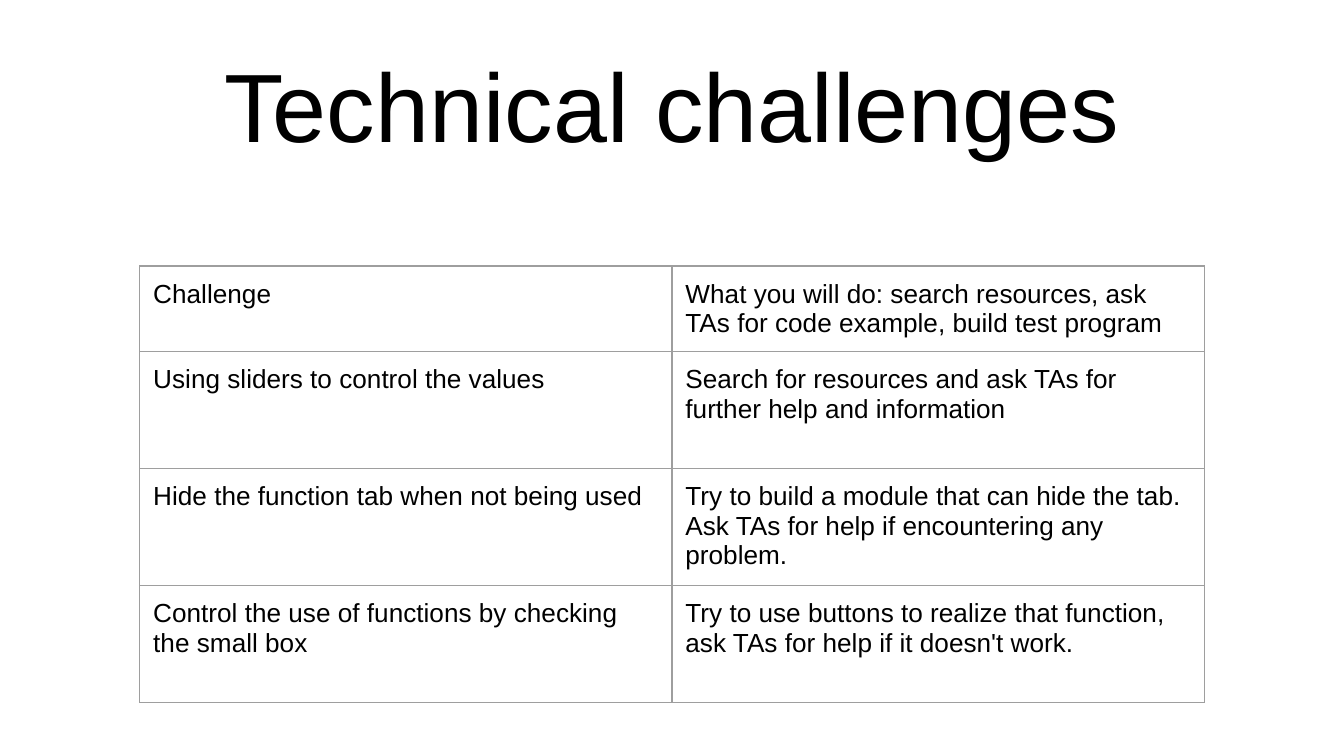
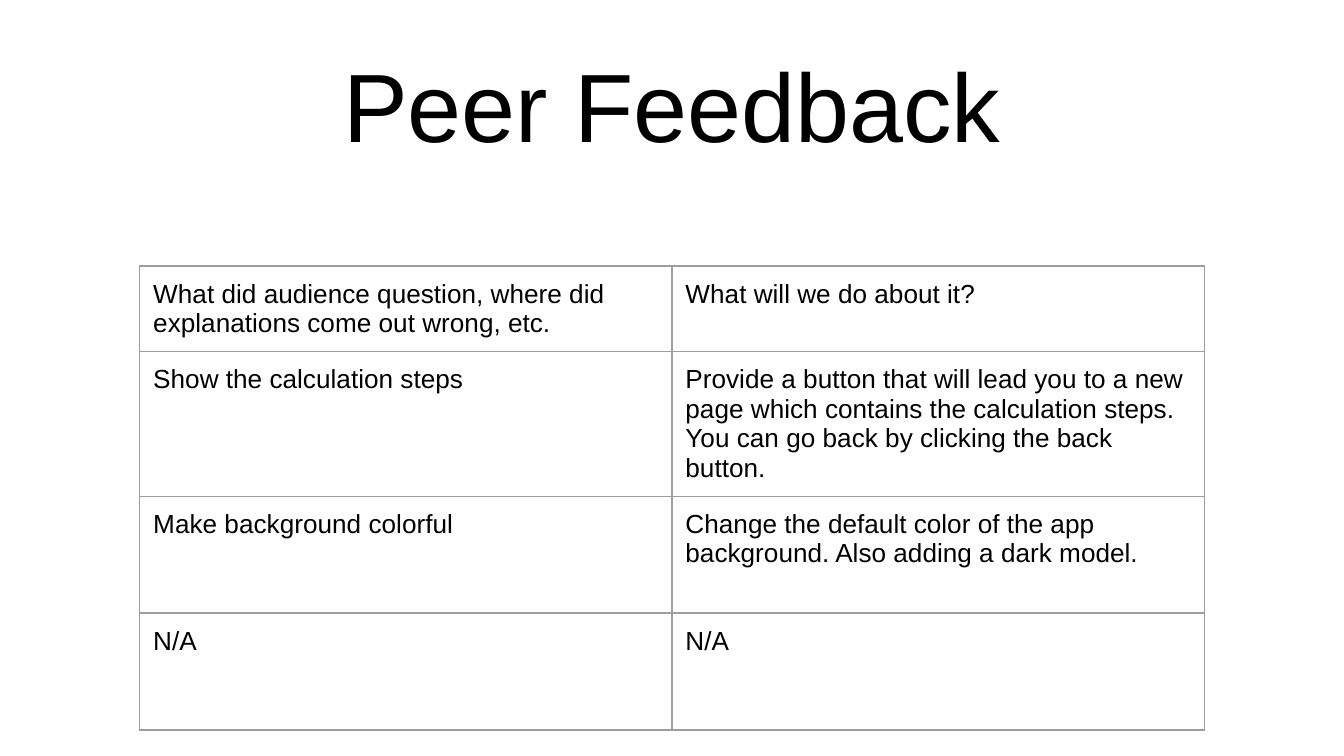
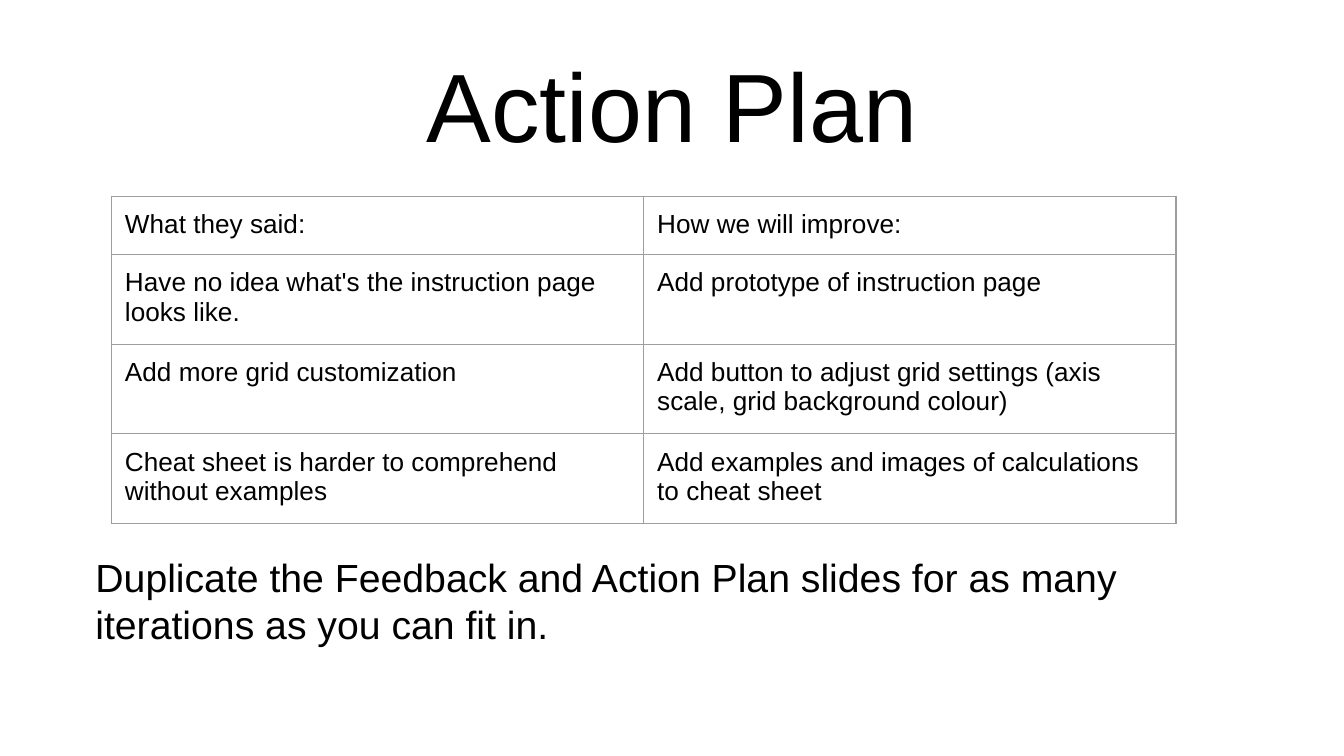
from pptx import Presentation
from pptx.dml.color import RGBColor
from pptx.enum.text import MSO_ANCHOR as Anchor, PP_ALIGN as Align
from pptx.oxml import parse_xml
from pptx.oxml.ns import nsdecls
from pptx.util import Inches, Pt

COLORS = {"text": "000000", "border": "9E9E9E"}
FONT = "Arial"
TITLE_BOX = (0.73, 0.15, 8.54, 1.25)
BORDER_WIDTH = Pt(0.75)

CHALLENGES = [
    ("Challenge",
     "What you will do: search resources, ask TAs for code example, build test program"),
    ("Using sliders to control the values",
     "Search for resources and ask TAs for further help and information"),
    ("Hide the function tab when not being used",
     "Try to build a module that can hide the tab. Ask TAs for help if encountering any problem."),
    ("Control the use of functions by checking the small box",
     "Try to use buttons to realize that function, ask TAs for help if it doesn't work."),
]
FEEDBACK = [
    ("What did audience question, where did explanations come out wrong, etc.",
     "What will we do about it?"),
    ("Show the calculation steps",
     "Provide a button that will lead you to a new page which contains the calculation steps. "
     "You can go back by clicking the back button."),
    ("Make background colorful",
     "Change the default color of the app background. Also adding a dark model."),
    ("N/A", "N/A"),
]
ACTIONS = [
    ("What they said:", "How we will improve:"),
    ("Have no idea what's the instruction page looks like.",
     "Add prototype of instruction page"),
    ("Add more grid customization",
     "Add button to adjust grid settings (axis scale, grid background colour)"),
    ("Cheat sheet is harder to comprehend without examples",
     "Add examples and images of calculations to cheat sheet"),
]


def write(holder, text, size, margin, align=Align.LEFT):
    """Write one formatted run into a text frame or table cell."""
    holder.margin_left = holder.margin_right = Inches(margin)
    holder.margin_top = holder.margin_bottom = Inches(margin)
    paragraph = getattr(holder, "text_frame", holder).paragraphs[0]
    paragraph.alignment = align
    run = paragraph.add_run()
    run.text = text
    run.font.name = FONT
    run.font.size = Pt(size)
    run.font.color.rgb = RGBColor.from_string(COLORS["text"])


def add_titled_slide(deck, title):
    """Add a title-only slide with the shared title style."""
    slide = deck.slides.add_slide(deck.slide_layouts[5])
    heading = slide.shapes.title
    heading.left, heading.top, heading.width, heading.height = map(Inches, TITLE_BOX)
    heading.text_frame.word_wrap = True
    heading.text_frame.vertical_anchor = Anchor.MIDDLE
    write(heading.text_frame, title, 52, 0.04, Align.CENTER)
    return slide


def add_borders(cell):
    """Draw the four grey edges of a cell."""
    properties = cell._tc.get_or_add_tcPr()
    for edge in ("lnL", "lnR", "lnT", "lnB"):
        properties.append(parse_xml(
            f'<a:{edge} {nsdecls("a")} w="{BORDER_WIDTH}"><a:solidFill>'
            f'<a:srgbClr val="{COLORS["border"]}"/></a:solidFill></a:{edge}>'))


def add_grid(slide, box, entries, row_heights):
    """Add a bordered table with equal columns inside the box."""
    holder = slide.shapes.add_table(len(entries), len(entries[0]), *map(Inches, box))
    grid = holder.table
    grid.first_row = grid.horz_banding = False
    for row, height, texts in zip(grid.rows, row_heights, entries):
        row.height = Inches(height)
        for cell, text in zip(row.cells, texts):
            add_borders(cell)
            cell.fill.background()
            cell.vertical_anchor = Anchor.TOP
            write(cell, text, 14, 0.1)
    holder.height = Inches(box[3])


def add_instruction(slide, box, text):
    """Add the closing instruction inside the box."""
    instruction = slide.shapes.add_textbox(*map(Inches, box)).text_frame
    instruction.word_wrap = True
    instruction.vertical_anchor = Anchor.MIDDLE
    write(instruction, text, 21, 0.04)


def main():
    """Build and save the three slides."""
    deck = Presentation()
    deck.slide_width = Inches(10)
    deck.slide_height = deck.slide_width * 9 // 16
    tall_rows = (0.5, 0.87, 0.87, 0.87)

    challenges = add_titled_slide(deck, "Technical challenges")
    add_grid(challenges, (1.04, 1.98, 7.92, 3.31), CHALLENGES, tall_rows)

    feedback = add_titled_slide(deck, "Peer Feedback")
    add_grid(feedback, (1.04, 1.98, 7.92, 3.55), FEEDBACK, tall_rows)

    plan = add_titled_slide(deck, "Action Plan")
    add_instruction(plan, (0.67, 3.82, 8.6, 1.3),
                    "Duplicate the Feedback and Action Plan slides "
                    "for as many iterations as you can fit in.")
    add_grid(plan, (0.83, 1.46, 7.92, 2.33), ACTIONS, (0.42,) * len(ACTIONS))

    deck.save("out.pptx")


if __name__ == "__main__":
    main()
